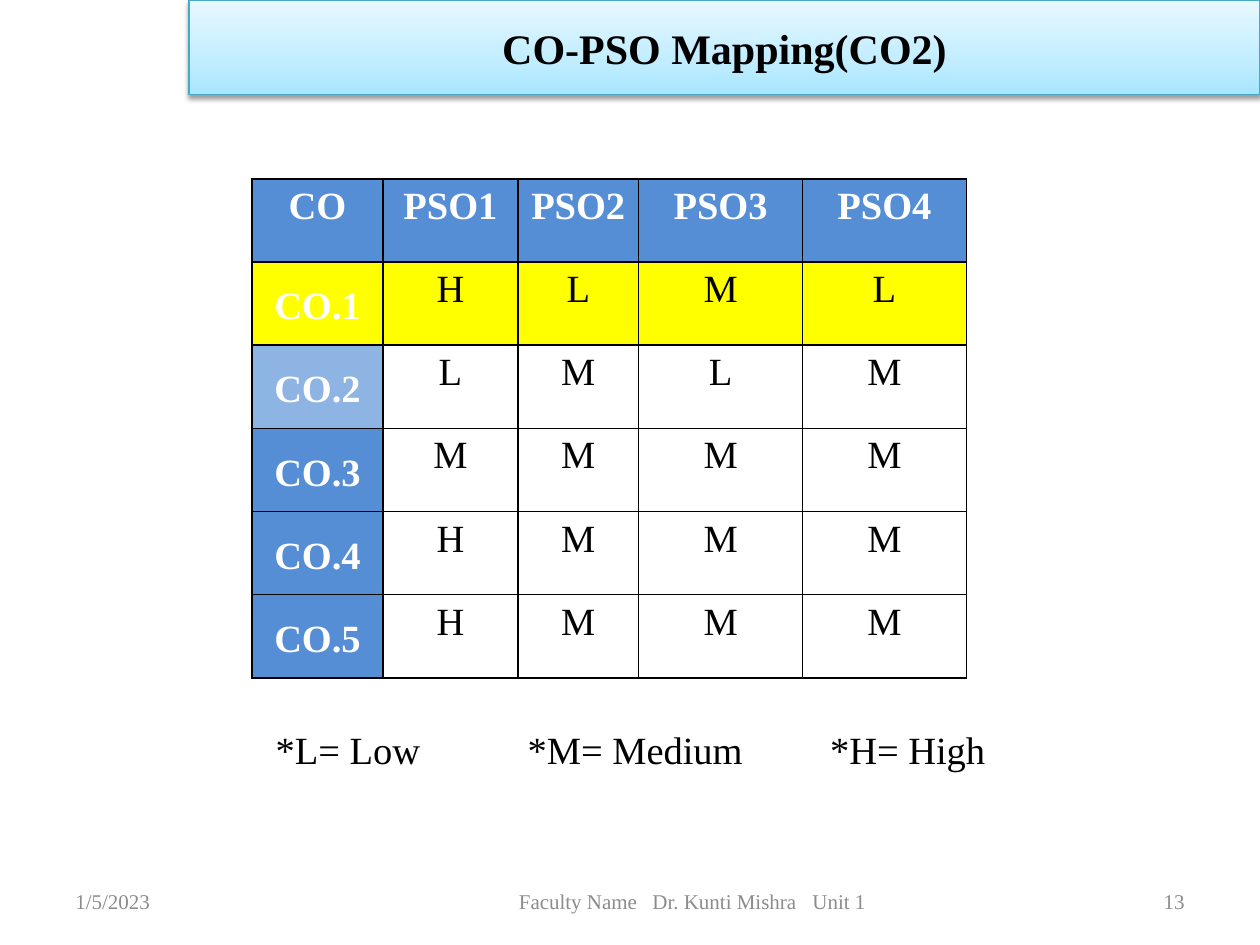
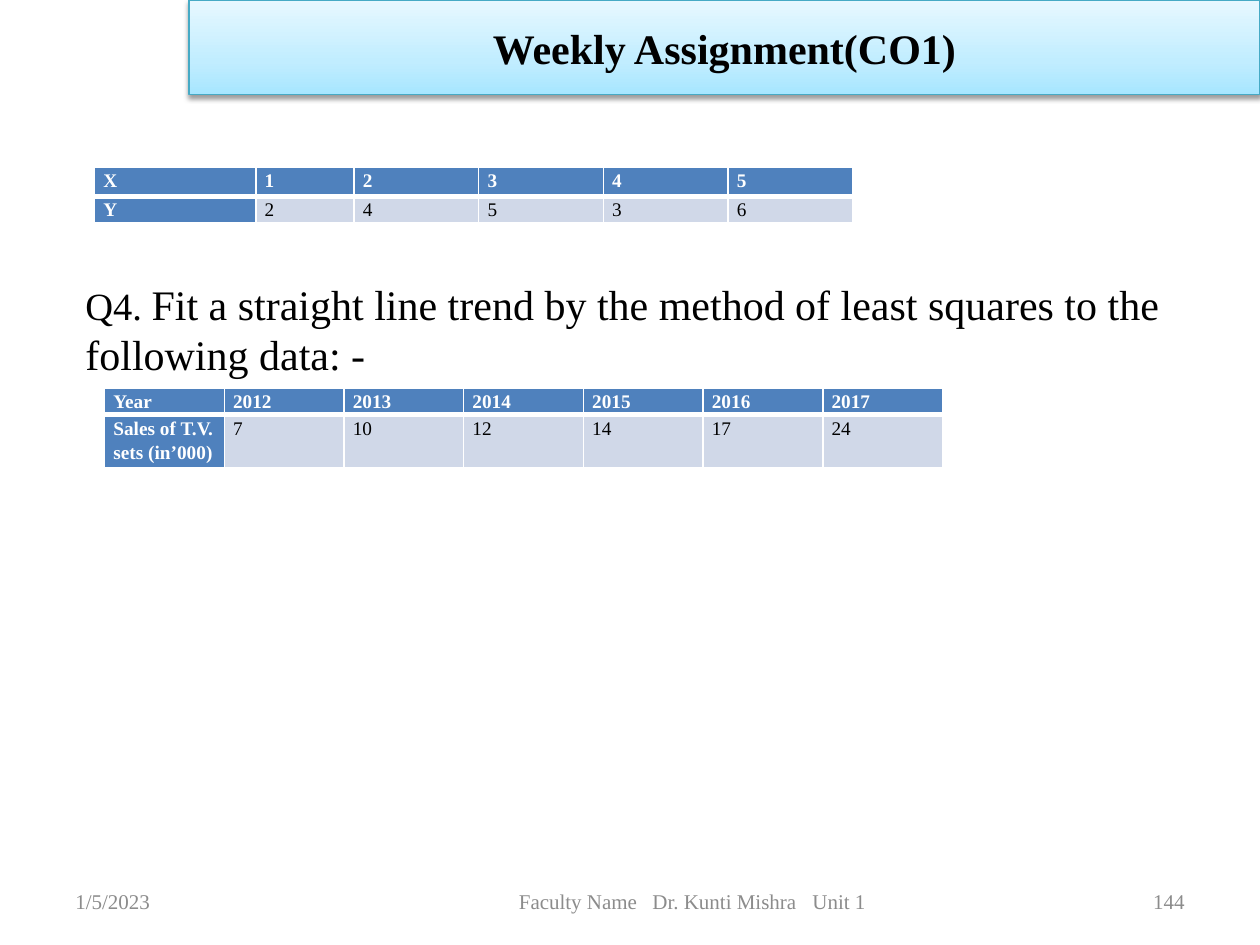
from dataclasses import dataclass

from lxml import etree
from pptx import Presentation
from pptx.dml.color import RGBColor
from pptx.enum.shapes import MSO_SHAPE
from pptx.enum.text import MSO_ANCHOR, PP_ALIGN
from pptx.oxml import parse_xml
from pptx.oxml.ns import nsdecls, qn
from pptx.util import Inches, Pt

RECTANGLE = MSO_SHAPE.RECTANGLE
TOP, MIDDLE = MSO_ANCHOR.TOP, MSO_ANCHOR.MIDDLE
LEFT, CENTER, RIGHT = PP_ALIGN.LEFT, PP_ALIGN.CENTER, PP_ALIGN.RIGHT
BLANK_LAYOUT = 6


@dataclass(frozen=True)
class Theme:
    font: str = "Times New Roman"
    black: str = "000000"
    white: str = "FFFFFF"
    footer_grey: str = "8C8C8C"
    band_line: str = "46AAC5"
    band_stops: tuple = ((0, "A7E6FF"), (35, "C1EDFF"), (100, "E7F8FF"))
    mapping_blue: str = "558ED5"
    mapping_light: str = "8EB4E3"
    highlight: str = "FFFF00"
    data_blue: str = "4F81BD"
    data_light: str = "D0D8E8"
    title_size: int = 24
    question_size: int = 24
    body_size: int = 22
    footer_size: int = 12
    data_size: int = 11


THEME = Theme()


def style_font(font, size, color, bold=False):
    font.name = THEME.font
    font.size = Pt(size)
    font.bold = bold
    font.color.rgb = RGBColor.from_string(color)


def add_tab_stops(paragraph, stops):
    tab_list = etree.SubElement(paragraph._p.get_or_add_pPr(), qn("a:tabLst"))
    for stop in stops:
        etree.SubElement(tab_list, qn("a:tab"), pos=str(Inches(stop)), algn="l")


def add_text(slide, box, text, size, color, align=LEFT, anchor=TOP, stops=()):
    shape = slide.shapes.add_textbox(*map(Inches, box))
    frame = shape.text_frame
    frame.word_wrap = True
    frame.vertical_anchor = anchor
    paragraph = frame.paragraphs[0]
    paragraph.text = text
    paragraph.alignment = align
    if stops:
        add_tab_stops(paragraph, stops)
    style_font(paragraph.font, size, color)
    return paragraph


def add_title_band(slide, box, title):
    band = slide.shapes.add_shape(RECTANGLE, *map(Inches, box))
    stops = "".join(
        f'<a:gs pos="{position * 1000}"><a:srgbClr val="{color}"/></a:gs>'
        for position, color in THEME.band_stops
    )
    properties = band._element.spPr
    properties.find(qn("a:prstGeom")).addnext(parse_xml(
        f'<a:gradFill {nsdecls("a")} rotWithShape="1"><a:gsLst>{stops}</a:gsLst>'
        '<a:lin ang="16200000" scaled="0"/></a:gradFill>'
    ))
    band.line.color.rgb = RGBColor.from_string(THEME.band_line)
    band.line.width = Pt(0.75)
    band.shadow.inherit = False
    properties.find(qn("a:effectLst")).append(parse_xml(
        f'<a:outerShdw {nsdecls("a")} blurRad="{Pt(3.1)}" dist="{Pt(1.6)}" '
        'dir="5400000" rotWithShape="0"><a:srgbClr val="000000">'
        '<a:alpha val="38000"/></a:srgbClr></a:outerShdw>'
    ))
    band.text_frame.vertical_anchor = MIDDLE
    paragraph = band.text_frame.paragraphs[0]
    paragraph.text = title
    paragraph.alignment = CENTER
    style_font(paragraph.font, THEME.title_size, THEME.black, True)


def add_footer(slide, box, number):
    left, top, width, height = box
    side = 2.33
    parts = (
        (left, side, "1/5/2023", LEFT, ()),
        (left + 3.52, 3, "Faculty Name\tDr. Kunti Mishra\tUnit 1", LEFT, (1.06, 2.33)),
        (left + width - side, side, str(number), RIGHT, ()),
    )
    for part_left, part_width, text, align, stops in parts:
        add_text(slide, (part_left, top, part_width, height), text,
                 THEME.footer_size, THEME.footer_grey, align, MIDDLE, stops)


def add_lecture_slide(presentation, title, number):
    slide = presentation.slides.add_slide(presentation.slide_layouts[BLANK_LAYOUT])
    add_title_band(slide, (1.5, 0, 8.5, 0.75), title)
    add_footer(slide, (0.5, 6.95, 9, 0.4), number)
    return slide


def set_borders(cell, color, top=1, bottom=1):
    properties = cell._tc.get_or_add_tcPr()
    widths = {"lnL": 1, "lnR": 1, "lnT": top, "lnB": bottom}
    for index, (side, width) in enumerate(widths.items()):
        properties.insert(index, parse_xml(
            f'<a:{side} {nsdecls("a")} w="{Pt(width)}"><a:solidFill>'
            f'<a:srgbClr val="{color}"/></a:solidFill></a:{side}>'
        ))


def fill_cell(cell, text, size, fill, is_label, align):
    cell.margin_left = cell.margin_right = Inches(0.07)
    cell.margin_top = cell.margin_bottom = 0
    cell.fill.solid()
    cell.fill.fore_color.rgb = RGBColor.from_string(fill)
    paragraph = cell.text_frame.paragraphs[0]
    paragraph.text = text
    paragraph.alignment = align
    paragraph.line_spacing = 1.15
    color = THEME.white if is_label else THEME.black
    style_font(paragraph.font, size, color, is_label)


def add_grid(slide, left, top, widths, heights, rows, style_cell):
    box = (left, top, sum(widths), sum(heights))
    frame = slide.shapes.add_table(len(heights), len(widths), *map(Inches, box))
    table = frame.table
    for column, width in zip(table.columns, widths):
        column.width = Inches(width)
    for row, height in zip(table.rows, heights):
        row.height = Inches(height)
    for row_index, values in enumerate(rows):
        for column_index, value in enumerate(values):
            cell = table.cell(row_index, column_index)
            style_cell(cell, value, row_index, column_index)


def style_mapping_cell(cell, text, row, column):
    label_fills = {1: THEME.highlight, 2: THEME.mapping_light}
    is_label = row == 0 or column == 0
    if is_label:
        fill = label_fills.get(row, THEME.mapping_blue)
    else:
        fill = THEME.highlight if row == 1 else THEME.white
    fill_cell(cell, text, THEME.body_size, fill, is_label, CENTER)
    if row and not column:
        cell.vertical_anchor = MIDDLE
    set_borders(cell, THEME.black)


def style_data_cell(cell, text, row, column):
    is_label = row == 0 or column == 0
    fill = THEME.data_blue if is_label else THEME.data_light
    fill_cell(cell, text, THEME.data_size, fill, is_label, LEFT)
    if row == 0:
        set_borders(cell, THEME.white, bottom=3)
    else:
        set_borders(cell, THEME.white, top=3)


def build_mapping_slide(presentation):
    slide = add_lecture_slide(presentation, "CO-PSO Mapping(CO2)", 13)
    levels = ("HLML", "LMLM", "MMMM", "HMMM", "HMMM")
    rows = [("CO", "PSO1", "PSO2", "PSO3", "PSO4")]
    rows += [(f"CO.{number}", *row) for number, row in enumerate(levels, 1)]
    add_grid(slide, 2, 1.42, (1.04, 1.07, 0.96, 1.3, 1.3), [0.66] * len(rows),
             rows, style_mapping_cell)
    add_text(slide, (2.09, 5.71, 7, 0.45), "*L= Low\t*M= Medium\t*H= High",
             THEME.body_size, THEME.black, stops=(2, 4.4))


def build_assignment_slide(presentation):
    slide = add_lecture_slide(presentation, "Weekly Assignment(CO1)", 144)
    question = add_text(slide, (0.58, 2.16, 9, 0.9), "Q4. ",
                        THEME.question_size, THEME.black)
    question.runs[0].font.size = Pt(THEME.body_size)
    question.add_run().text = (
        "Fit a straight line trend by the method of least squares "
        "to the following data: -"
    )
    add_grid(slide, 0.75, 1.33, [1.28, 0.78] + [0.99] * 4, (0.23, 0.2),
             ("X12345", "Y24536"), style_data_cell)
    years = ("Year", *map(str, range(2012, 2018)))
    sales = ("Sales of T.V. sets (in’000)", "7", "10", "12", "14", "17", "24")
    add_grid(slide, 0.83, 3.08, [0.95] * len(years), (0.2, 0.39),
             (years, sales), style_data_cell)


def main():
    presentation = Presentation()
    presentation.slide_width = Inches(10)
    presentation.slide_height = Inches(7.5)
    build_mapping_slide(presentation)
    build_assignment_slide(presentation)
    presentation.save("out.pptx")


if __name__ == "__main__":
    main()
